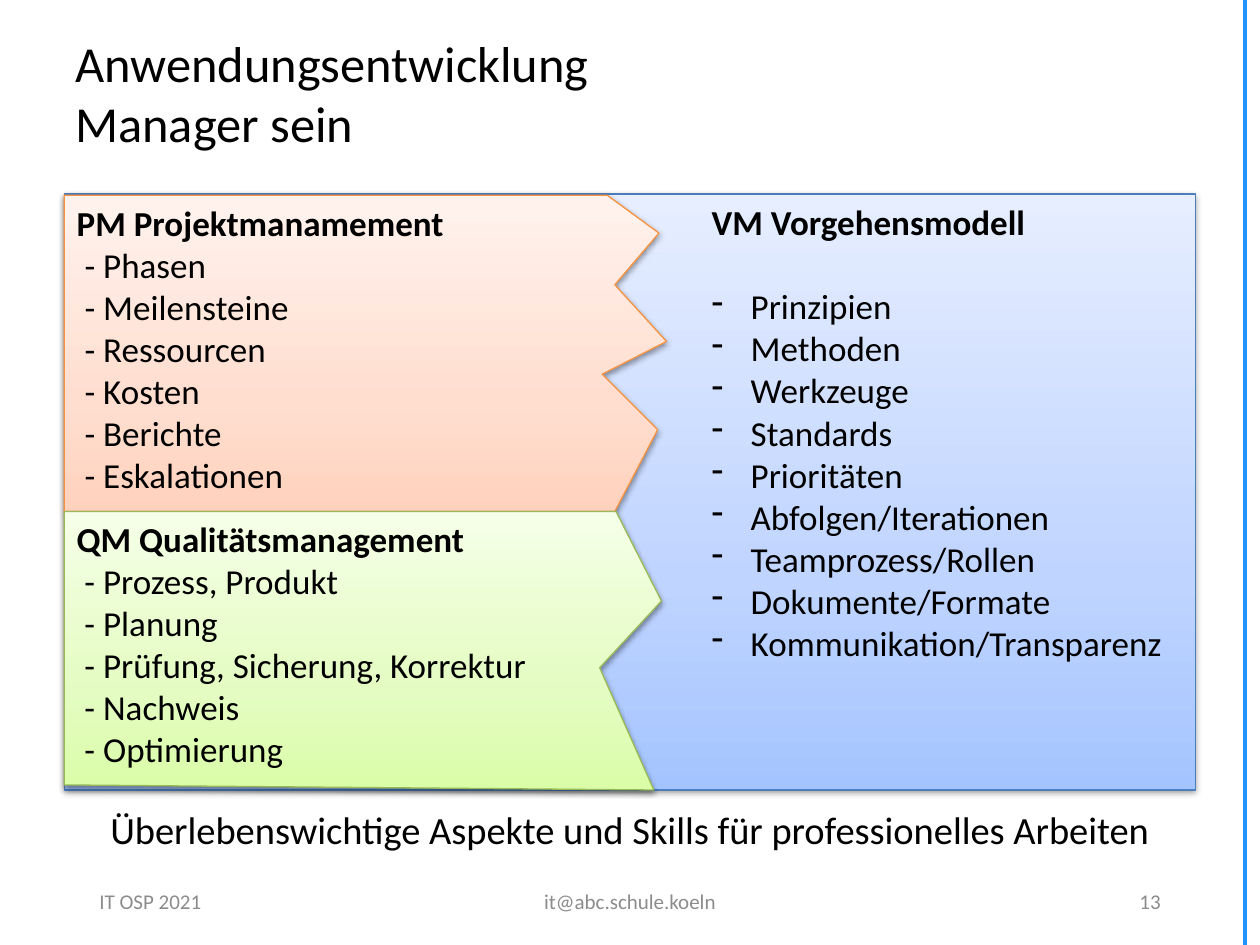
import copy

import pptx
import pptx.dml.color
import pptx.enum.shapes
import pptx.enum.text
import pptx.oxml
import pptx.oxml.ns
import pptx.util

Inches = pptx.util.Inches
Pt = pptx.util.Pt
RGBColor = pptx.dml.color.RGBColor
ALIGN = pptx.enum.text.PP_ALIGN
ANCHOR = pptx.enum.text.MSO_ANCHOR
qn = pptx.oxml.ns.qn

BLACK = RGBColor(0x00, 0x00, 0x00)
GREY = RGBColor(0x8C, 0x8C, 0x8C)
EDGE_BLUE = RGBColor(0x24, 0x92, 0xFF)
BLUE_LINE = RGBColor(0x4B, 0x7E, 0xBC)
BLUES = (RGBColor(0xA4, 0xC4, 0xFF), RGBColor(0xBF, 0xD4, 0xFF), RGBColor(0xE6, 0xEE, 0xFF))
ORANGE_LINE = RGBColor(0xF6, 0x92, 0x40)
ORANGES = (RGBColor(0xFF, 0xD2, 0xBD), RGBColor(0xFF, 0xDE, 0xD0), RGBColor(0xFF, 0xF2, 0xED))
GREEN_LINE = RGBColor(0x98, 0xB9, 0x55)
GREENS = (RGBColor(0xDA, 0xFD, 0xA7), RGBColor(0xE4, 0xFC, 0xC2), RGBColor(0xF5, 0xFF, 0xE7))


class SkillSlide:
    """Draws the panels, lists and footer of one slide in a shared style."""

    font = "Calibri"
    list_size = 20
    stops = (0, 0.35, 1)

    def __init__(self, slide):
        self.slide = slide

    def run(self, paragraph, text, size, color=BLACK, bold=False):
        run = paragraph.add_run()
        run.text = text
        run.font.name = self.font
        run.font.size = Pt(size)
        run.font.color.rgb = color
        run.font.bold = bold

    def text_frame(self, box, anchor=ANCHOR.TOP):
        place = [Inches(length) for length in box]
        frame = self.slide.shapes.add_textbox(*place).text_frame
        frame.word_wrap = True
        frame.vertical_anchor = anchor
        return frame

    def text(self, box, lines, size, color=BLACK, align=ALIGN.LEFT, anchor=ANCHOR.MIDDLE):
        paragraph = self.text_frame(box, anchor).paragraphs[0]
        paragraph.alignment = align
        for index, line in enumerate(lines):
            if index:
                paragraph.add_line_break()
            self.run(paragraph, line, size, color)

    def topic(self, frame, heading, items, prefix=""):
        self.run(frame.paragraphs[0], heading, self.list_size, bold=True)
        paragraphs = []
        for item in items:
            paragraph = frame.add_paragraph()
            paragraph.alignment = ALIGN.LEFT
            self.run(paragraph, prefix + item, self.list_size)
            paragraphs.append(paragraph)
        frame.paragraphs[0].alignment = ALIGN.LEFT
        return paragraphs

    def bulleted_topic(self, box, heading, items):
        frame = self.text_frame(box)
        for paragraph in self.topic(frame, heading, items):
            properties = paragraph._p.get_or_add_pPr()
            properties.set("marL", str(Inches(0.31)))
            properties.set("indent", str(-Inches(0.31)))
            bullet = pptx.oxml.parse_xml(
                f'<a:buChar {pptx.oxml.ns.nsdecls("a")} char="-"/>')
            properties.append(bullet)
        frame.paragraphs[0].space_after = Pt(24.4)

    def paint(self, shape, colors, line_color):
        shape.fill.gradient()
        shape.fill.gradient_angle = 90
        stop_list = shape._element.spPr.find(qn("a:gradFill")).find(qn("a:gsLst"))
        stop_list.append(copy.deepcopy(stop_list[-1]))
        for stop, position, color in zip(shape.fill.gradient_stops, self.stops, colors):
            stop.position = position
            stop.color.rgb = color
        shape.line.color.rgb = line_color
        shape.line.width = Pt(0.75)
        shape.shadow.inherit = False
        shape._element.spPr.find(qn("a:effectLst")).append(pptx.oxml.parse_xml(
            f'<a:outerShdw {pptx.oxml.ns.nsdecls("a")} blurRad="40000" dist="20000" '
            'dir="5400000" rotWithShape="0"><a:srgbClr val="000000">'
            '<a:alpha val="38000"/></a:srgbClr></a:outerShdw>'))

    def panel(self, box, colors, line_color):
        place = [Inches(length) for length in box]
        rectangle = pptx.enum.shapes.MSO_SHAPE.RECTANGLE
        self.paint(self.slide.shapes.add_shape(rectangle, *place), colors, line_color)

    def jagged_topic(self, outline, colors, line_color, heading, items):
        start, *corners = [(Inches(x), Inches(y)) for x, y in outline]
        builder = self.slide.shapes.build_freeform(*start)
        builder.add_line_segments(corners, close=True)
        shape = builder.convert_to_shape()
        self.paint(shape, colors, line_color)
        shape.text_frame.word_wrap = True
        shape.text_frame.vertical_anchor = ANCHOR.TOP
        self.topic(shape.text_frame, heading, items, " - ")

    def rule(self, start, end, color, width):
        ends = [Inches(length) for length in (*start, *end)]
        line = self.slide.shapes.add_connector(
            pptx.enum.shapes.MSO_CONNECTOR.STRAIGHT, *ends)
        line.line.color.rgb = color
        line.line.width = Pt(width)
        line._element.spPr.append(pptx.oxml.parse_xml(
            f'<a:effectLst {pptx.oxml.ns.nsdecls("a")}/>'))


def main():
    deck = pptx.Presentation()
    deck.slide_width = Inches(10)
    deck.slide_height = Inches(7.5)
    page = SkillSlide(deck.slides.add_slide(deck.slide_layouts[6]))

    page.rule((9.88, 7.5), (9.88, 0), EDGE_BLUE, 2.25)
    footer = (
        (0.69, 2.25, "IT OSP 2021", ALIGN.LEFT),
        (3.31, 3.38, "it@abc.schule.koeln", ALIGN.CENTER),
        (7.06, 2.25, "13", ALIGN.RIGHT),
    )
    for left, width, label, align in footer:
        page.text((left, 6.95, width, 0.4), [label], 12, GREY, align)

    page.panel((0.51, 1.54, 8.98, 4.73), BLUES, BLUE_LINE)
    page.text((0.5, 0.4, 9, 0.67), ["Anwendungsentwicklung", "Manager sein"], 28.8)
    page.text((0.5, 6.35, 9, 0.63),
              ["Überlebenswichtige Aspekte und Skills für professionelles Arbeiten"],
              22, align=ALIGN.CENTER, anchor=ANCHOR.TOP)
    page.bulleted_topic(
        (5.55, 1.54, 3.94, 3.7), "VM Vorgehensmodell",
        ["Prinzipien", "Methoden", "Werkzeuge", "Standards", "Prioritäten",
         "Abfolgen/Iterationen", "Teamprozess/Rollen", "Dokumente/Formate",
         "Kommunikation/Transparenz"])
    page.jagged_topic(
        [(0.51, 1.55), (4.82, 1.55), (5.23, 1.85), (4.88, 2.26), (5.29, 2.71),
         (4.78, 2.97), (5.22, 3.41), (4.88, 4.06), (0.51, 4.06)],
        ORANGES, ORANGE_LINE, "PM Projektmanamement",
        ["Phasen", "Meilensteine", "Ressourcen", "Kosten", "Berichte", "Eskalationen"])
    page.jagged_topic(
        [(0.51, 4.06), (4.89, 4.06), (5.25, 4.77), (4.76, 5.3), (5.19, 6.27), (0.51, 6.23)],
        GREENS, GREEN_LINE, "QM Qualitätsmanagement",
        ["Prozess, Produkt", "Planung", "Prüfung, Sicherung, Korrektur", "Nachweis",
         "Optimierung"])

    deck.save("out.pptx")


if __name__ == "__main__":
    main()
